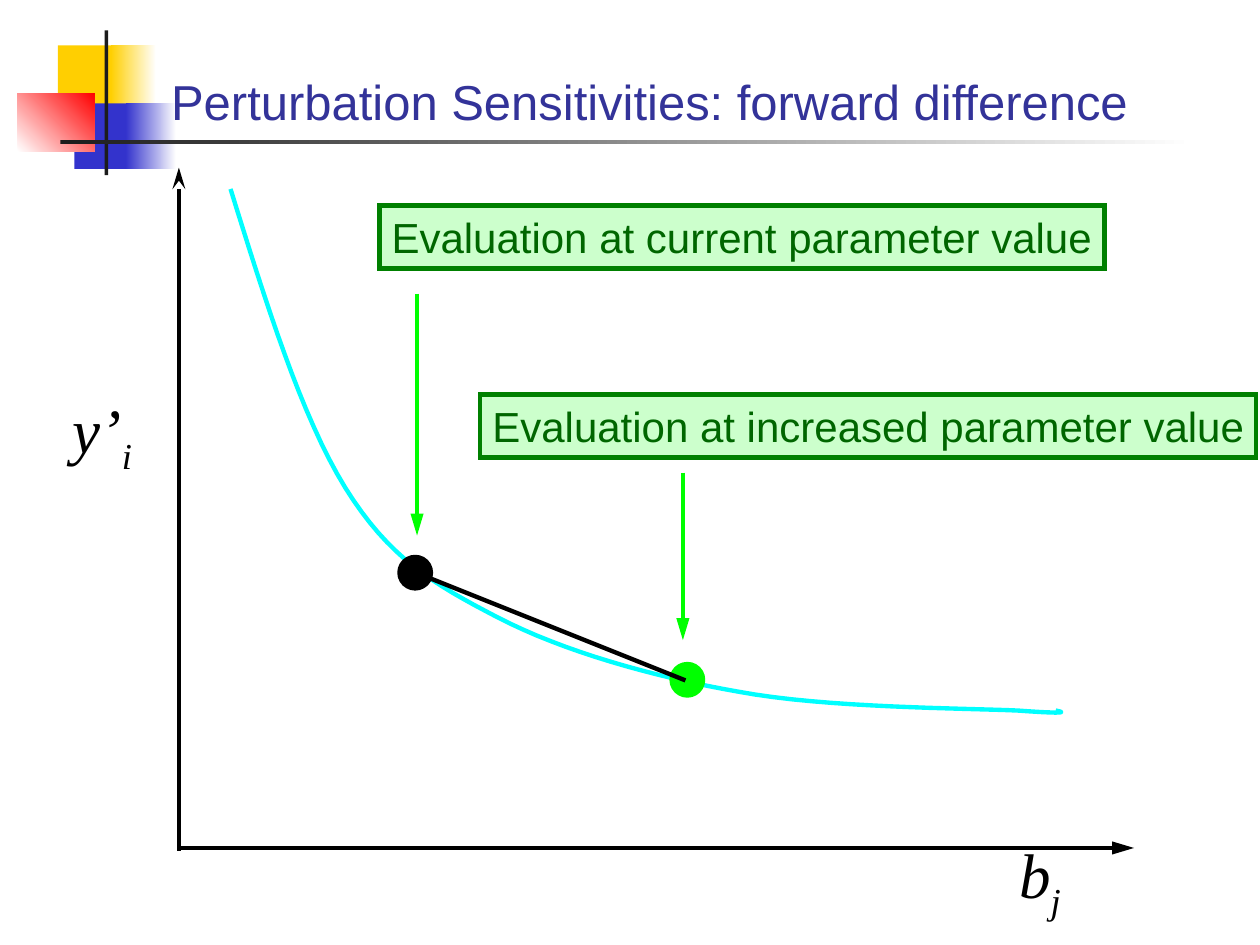
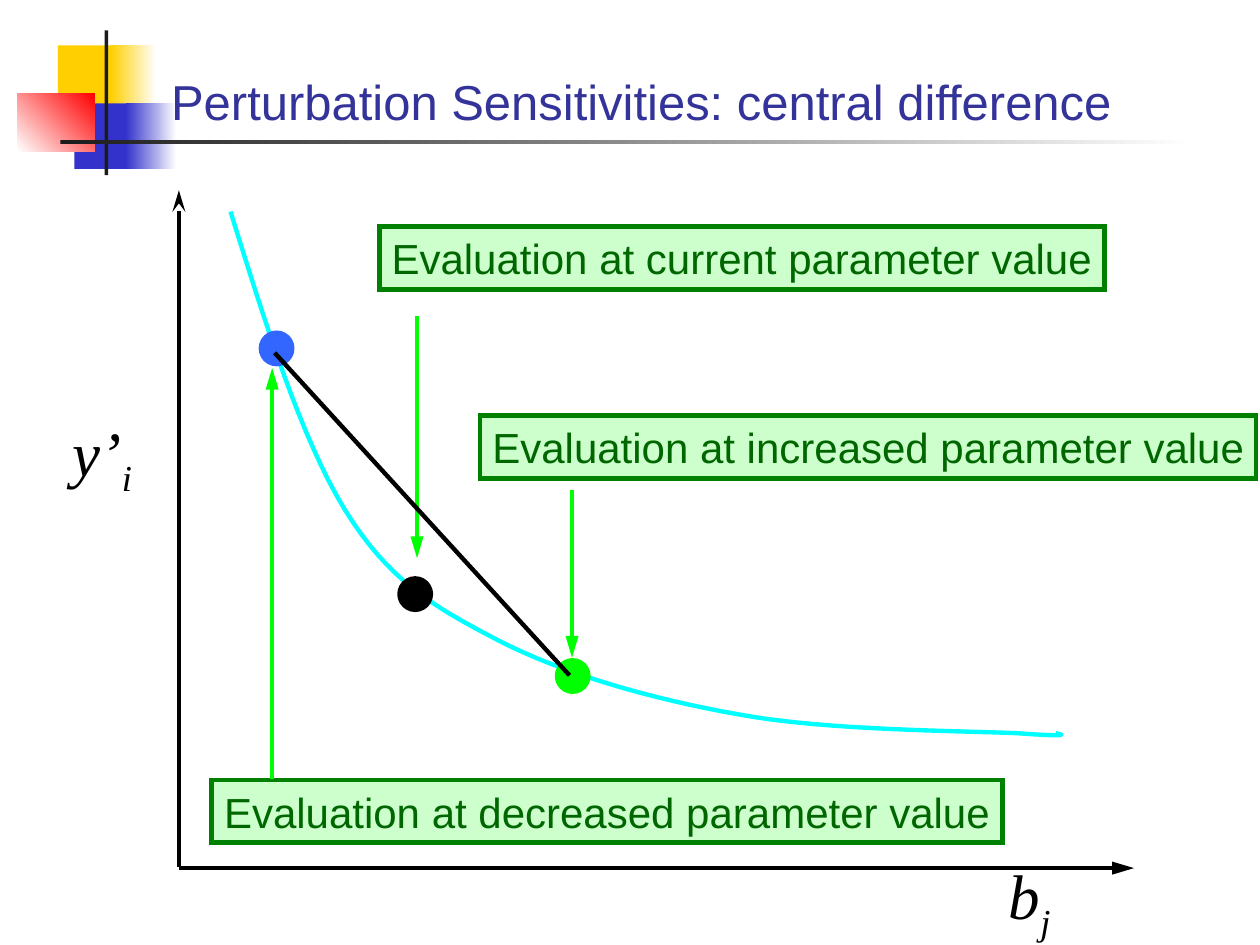
from lxml import etree
from pptx import Presentation
from pptx.dml.color import RGBColor
from pptx.enum.shapes import MSO_CONNECTOR, MSO_SHAPE
from pptx.enum.text import MSO_ANCHOR, MSO_AUTO_SIZE, PP_ALIGN
from pptx.oxml.ns import qn
from pptx.util import Inches, Pt

RECTANGLE, OVAL = MSO_SHAPE.RECTANGLE, MSO_SHAPE.OVAL
STRAIGHT = MSO_CONNECTOR.STRAIGHT
TOP, BOTTOM = MSO_ANCHOR.TOP, MSO_ANCHOR.BOTTOM
LEFT = PP_ALIGN.LEFT
GROW, FIXED = MSO_AUTO_SIZE.SHAPE_TO_FIT_TEXT, MSO_AUTO_SIZE.NONE

WHITE = RGBColor(0xFF, 0xFF, 0xFF)
BLACK = RGBColor(0x00, 0x00, 0x00)
YELLOW = RGBColor(0xFF, 0xCF, 0x01)
INDIGO = RGBColor(0x33, 0x33, 0xCC)
RED = RGBColor(0xFF, 0x00, 0x00)
CHARCOAL = RGBColor(0x1C, 0x1C, 0x1C)
TITLE_BLUE = RGBColor(0x33, 0x33, 0x99)
CYAN = RGBColor(0x00, 0xFF, 0xFF)
GREEN = RGBColor(0x00, 0xFF, 0x00)
BLUE = RGBColor(0x33, 0x66, 0xFF)
LABEL_FILL = RGBColor(0xCC, 0xFF, 0xCC)
LABEL_EDGE = RGBColor(0x00, 0x80, 0x00)
LABEL_TEXT = RGBColor(0x00, 0x66, 0x00)

LINE_WIDTH = Pt(2.5)
DOT_SIZE = 0.25
LABEL_HEIGHT = 0.5
CURVE_STEPS = 16

# left, top, width, height, colours from start to end, gradient angle
DECORATION = [
    (0.46, 0.36, 0.48, 0.52, [YELLOW], 0),
    (0.88, 0.36, 0.36, 0.52, [YELLOW, WHITE], 0),
    (0.59, 0.82, 0.46, 0.52, [INDIGO], 0),
    (1.00, 0.82, 0.40, 0.52, [INDIGO, WHITE], 0),
    (0.14, 0.74, 0.61, 0.46, [WHITE, RED], 45),
    (0.83, 0.24, 0.03, 1.15, [CHARCOAL], 0),
    (0.48, 1.11, 9.00, 0.03, [CHARCOAL, WHITE], 0),
]

# Bezier knots and control points: each segment starts where the last one ends
CURVE = [
    (1.83, 1.5), (2.11, 2.4), (2.39, 3.3), (2.74, 3.87),
    (3.09, 4.43), (3.43, 4.63), (3.95, 4.9),
    (4.47, 5.17), (5.18, 5.37), (5.86, 5.49),
    (6.55, 5.62), (7.66, 5.62), (8.08, 5.64),
    (8.5, 5.67), (8.44, 5.65), (8.38, 5.64),
]

# labels: text, left, top, width; arrows: x, start y, end y; dots: left, top, colour
SLIDES = [
    {
        "title": "Perturbation Sensitivities: forward difference",
        "curve_drop": 0,
        "y_axis": (6.75, 1.33),
        "x_axis": 6.73,
        "b_label": (7.99, 6.58),
        "labels": [("current", 3.01, 1.63, 5.76), ("increased", 3.81, 3.13, 6.16)],
        "arrows": [(3.31, 2.33, 4.25), (5.42, 3.75, 5.08)],
        "dots": [(3.17, 4.42, BLACK), (5.33, 5.27, GREEN)],
        "secant": ((3.29, 4.54), (5.44, 5.4)),
    },
    {
        "title": "Perturbation Sensitivities: central difference",
        "curve_drop": 0.18,
        "y_axis": (6.88, 1.51),
        "x_axis": 6.89,
        "b_label": (7.91, 6.75),
        "labels": [("current", 3.01, 1.8, 5.76), ("increased", 3.81, 3.3, 6.16),
                   ("decreased", 1.68, 6.19, 6.28)],
        "arrows": [(3.31, 2.51, 4.43), (4.54, 3.89, 5.22), (2.16, 6.18, 2.92)],
        "dots": [(3.17, 4.59, BLACK), (4.42, 5.24, GREEN), (2.07, 2.64, BLUE)],
        "secant": ((2.18, 2.8), (4.52, 5.36)),
    },
]


def write_text(shape, text, subscript="", size=24, font="Arial", color=BLACK,
               italic=False, wrap=True, anchor=TOP, fit=GROW, right_inset=0.1):
    frame = shape.text_frame
    frame.word_wrap = wrap
    frame.auto_size = fit
    frame.vertical_anchor = anchor
    frame.margin_right = Inches(right_inset)
    para = frame.paragraphs[0]
    para.alignment = LEFT
    for part in filter(None, (text, subscript)):
        span = para.add_run()
        span.text = part
        span.font.size = Pt(size)
        span.font.name = font
        span.font.italic = italic
        span.font.color.rgb = color
    if subscript:
        span.font._element.set("baseline", "-25000")


def add_line(page, start, end, color, arrowhead=None):
    line = page.shapes.add_connector(STRAIGHT, *map(Inches, (*start, *end)))
    line.line.color.rgb = color
    line.line.width = LINE_WIDTH
    properties = line._element.spPr
    if arrowhead:
        outline = properties.find(qn("a:ln"))
        etree.SubElement(outline, qn("a:tailEnd"), type=arrowhead, w="med", len="lg")
    etree.SubElement(properties, qn("a:effectLst"))


deck = Presentation()
deck.slide_width, deck.slide_height = Inches(10), Inches(7.5)
blank = deck.slide_layouts[6]

for content in SLIDES:
    page = deck.slides.add_slide(blank)

    for *place, colors, angle in DECORATION:
        band = page.shapes.add_shape(RECTANGLE, *map(Inches, place))
        band.shadow.inherit = False
        band.line.fill.background()
        if len(colors) == 1:
            band.fill.solid()
            band.fill.fore_color.rgb = colors[0]
        else:
            band.fill.gradient()
            band.fill.gradient_angle = angle
            for stop, color, position in zip(band.fill.gradient_stops, colors, (0, 1)):
                stop.color.rgb = color
                stop.position = position

    title = page.shapes.add_textbox(*map(Inches, (1.26, 0.33, 8.52, 0.75)))
    write_text(title, content["title"], size=28, color=TITLE_BLUE,
               anchor=BOTTOM, fit=FIXED)

    drop = content["curve_drop"]
    points = []
    for first in range(0, len(CURVE) - 1, 3):
        knots = CURVE[first:first + 4]
        for step in range(1, CURVE_STEPS + 1):
            t = step / CURVE_STEPS
            weights = ((1 - t) ** 3, 3 * t * (1 - t) ** 2, 3 * t ** 2 * (1 - t), t ** 3)
            x = sum(weight * knot[0] for weight, knot in zip(weights, knots))
            y = sum(weight * knot[1] for weight, knot in zip(weights, knots))
            points.append((Inches(x), Inches(y + drop)))
    start_x, start_y = CURVE[0]
    builder = page.shapes.build_freeform(Inches(start_x), Inches(start_y + drop))
    builder.add_line_segments(points, close=False)
    curve = builder.convert_to_shape()
    curve.shadow.inherit = False
    curve.fill.background()
    curve.line.color.rgb = CYAN
    curve.line.width = LINE_WIDTH

    axis_bottom, axis_top = content["y_axis"]
    axis_y = content["x_axis"]
    add_line(page, (1.42, axis_bottom), (1.42, axis_top), BLACK, "stealth")
    add_line(page, (1.42, axis_y), (9, axis_y), BLACK, "triangle")

    b_label = page.shapes.add_textbox(*map(Inches, (*content["b_label"], 0.53, 0.79)))
    write_text(b_label, "b", "j", size=36, font="Times New Roman", italic=True, wrap=False)
    y_label = page.shapes.add_textbox(*map(Inches, (0.48, 3.05 + drop, 0.71, 0.79)))
    write_text(y_label, "y’", "i", size=36, font="Times New Roman", italic=True)

    for left, top, color in content["dots"]:
        dot = page.shapes.add_shape(OVAL, *map(Inches, (left, top, DOT_SIZE, DOT_SIZE)))
        dot.shadow.inherit = False
        dot.fill.solid()
        dot.fill.fore_color.rgb = color
        dot.line.color.rgb = color
        dot.line.width = LINE_WIDTH

    for change, left, top, width in content["labels"]:
        label = page.shapes.add_shape(
            RECTANGLE, *map(Inches, (left, top, width, LABEL_HEIGHT)))
        label.shadow.inherit = False
        label.fill.solid()
        label.fill.fore_color.rgb = LABEL_FILL
        label.line.color.rgb = LABEL_EDGE
        label.line.width = Pt(2.75)
        etree.SubElement(label._element.spPr.find(qn("a:ln")), qn("a:miter"), lim="800000")
        write_text(label, f"Evaluation at {change} parameter value", color=LABEL_TEXT,
                   fit=FIXED, right_inset=0)

    for x, start_y, end_y in content["arrows"]:
        add_line(page, (x, start_y), (x, end_y), GREEN, "triangle")
    add_line(page, *content["secant"], BLACK)

deck.save("out.pptx")
